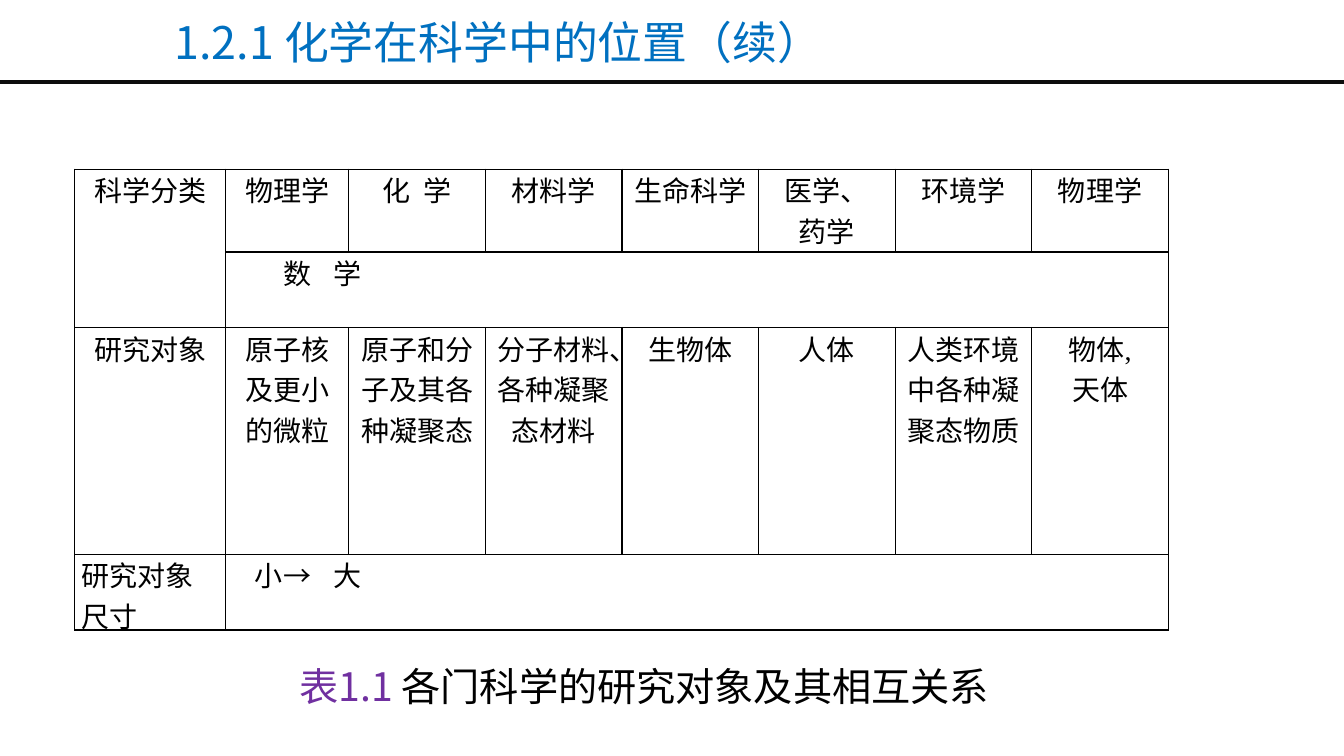
from pptx import Presentation
from pptx.dml.color import RGBColor
from pptx.enum.shapes import MSO_CONNECTOR as Conn
from pptx.enum.text import MSO_ANCHOR as Anchor, PP_ALIGN as Align
from pptx.oxml.ns import qn
from pptx.util import Inches, Pt
from lxml.etree import SubElement as Sub

BLUE = RGBColor(0x00, 0x70, 0xC0)
PURPLE = RGBColor(0x70, 0x30, 0xA0)
BLACK = RGBColor(0, 0, 0)
DARK = RGBColor(0x0D, 0x0D, 0x0D)
SANS, SERIF = "Noto Sans CJK SC", "Times New Roman"


def style(font, size, name, color):
    """Set size, typeface and colour of a font."""
    font.size, font.name = Pt(size), name
    font.color.rgb = color


def border(cell):
    """Draw a thin black line on all four sides of a cell."""
    props = cell._tc.get_or_add_tcPr()
    for side in ("a:lnL", "a:lnR", "a:lnT", "a:lnB"):
        line = Sub(props, qn(side), w=str(Pt(1)))
        fill = Sub(line, qn("a:solidFill"))
        Sub(fill, qn("a:srgbClr"), val=str(BLACK))


deck = Presentation()
deck.slide_width, deck.slide_height = Inches(13.33), Inches(7.5)
slide = deck.slides.add_slide(deck.slide_layouts[5])
shapes = slide.shapes

# Rule under the title
rule = shapes.add_connector(Conn.STRAIGHT, 0, Inches(0.81), Inches(13.33), Inches(0.81))
rule.line.color.rgb, rule.line.width = DARK, Pt(3)
Sub(rule._element.spPr, qn("a:effectLst"))

# Title
title = shapes.title
title.left, title.top = Inches(1.63), Inches(0.1)
title.width, title.height = Inches(6.93), Inches(0.64)
title.text_frame.text = "1.2.1 化学在科学中的位置（续）"
title.text_frame.vertical_anchor = Anchor.TOP
head = title.text_frame.paragraphs[0]
head.alignment = Align.LEFT
style(head.font, 32, SANS, BLUE)

# Caption
box = shapes.add_textbox(Inches(2.87), Inches(6.52), Inches(7.58), Inches(0.57))
box.text_frame.word_wrap = True
note = box.text_frame.paragraphs[0]
for text, color in (("表1.1 ", PURPLE), ("各门科学的研究对象及其相互关系", BLACK)):
    run = note.add_run()
    run.text = text
    style(run.font, 28, SANS, color)

# Table: a row with two cells spans its second cell to the right edge
rows = [
    ["科学分类", "物理学", "化  学", "材料学", "生命科学", "医学、\n药学", "环境学", "物理学"],
    ["", "\t数\t学"],
    ["研究对象", "原子核及更小的微粒", "原子和分子及其各种凝聚态",
     "分子材料、各种凝聚态材料", "生物体", "人体", "人类环境中各种凝聚态物质", "物体,\n天体"],
    ["研究对象尺寸", "小\t→\t大"],
]
tabs = {1: (1.26, 6.78), 3: (3.91, 7.67)}
widths = [1.5, 1.22] + [1.355] * 6
heights = [0.82, 0.75, 2.25, 0.75]

table = shapes.add_table(4, 8, Inches(0.74), Inches(1.68), Inches(10.85), Inches(4.57)).table
table.first_row = table.horz_banding = False
for col, width in zip(table.columns, widths):
    col.width = Inches(width)
for row, height in zip(table.rows, heights):
    row.height = Inches(height)

for cell in table.iter_cells():
    border(cell)
    cell.fill.background()
    cell.margin_left = cell.margin_right = Inches(0.07)
    cell.margin_top = cell.margin_bottom = 0

table.cell(0, 0).merge(table.cell(1, 0))
for r in tabs:
    table.cell(r, 1).merge(table.cell(r, 7))

for r, texts in enumerate(rows):
    for c, text in enumerate(texts):
        if not text:
            continue
        cell = table.cell(r, c)
        cell.text = text
        for para in cell.text_frame.paragraphs:
            para.alignment = Align.LEFT if r == 3 or "\t" in text else Align.CENTER
            style(para.font, 20, SERIF, BLACK)
            if "\t" in text:
                props = para._p.get_or_add_pPr()
                props.set("marL", "0")
                props.set("indent", str(Inches(0.21)))
                stops = props.makeelement(qn("a:tabLst"))
                props.insert(0, stops)
                for stop in tabs[r]:
                    Sub(stops, qn("a:tab"), pos=str(Inches(stop)), algn="l")

deck.save("out.pptx")
